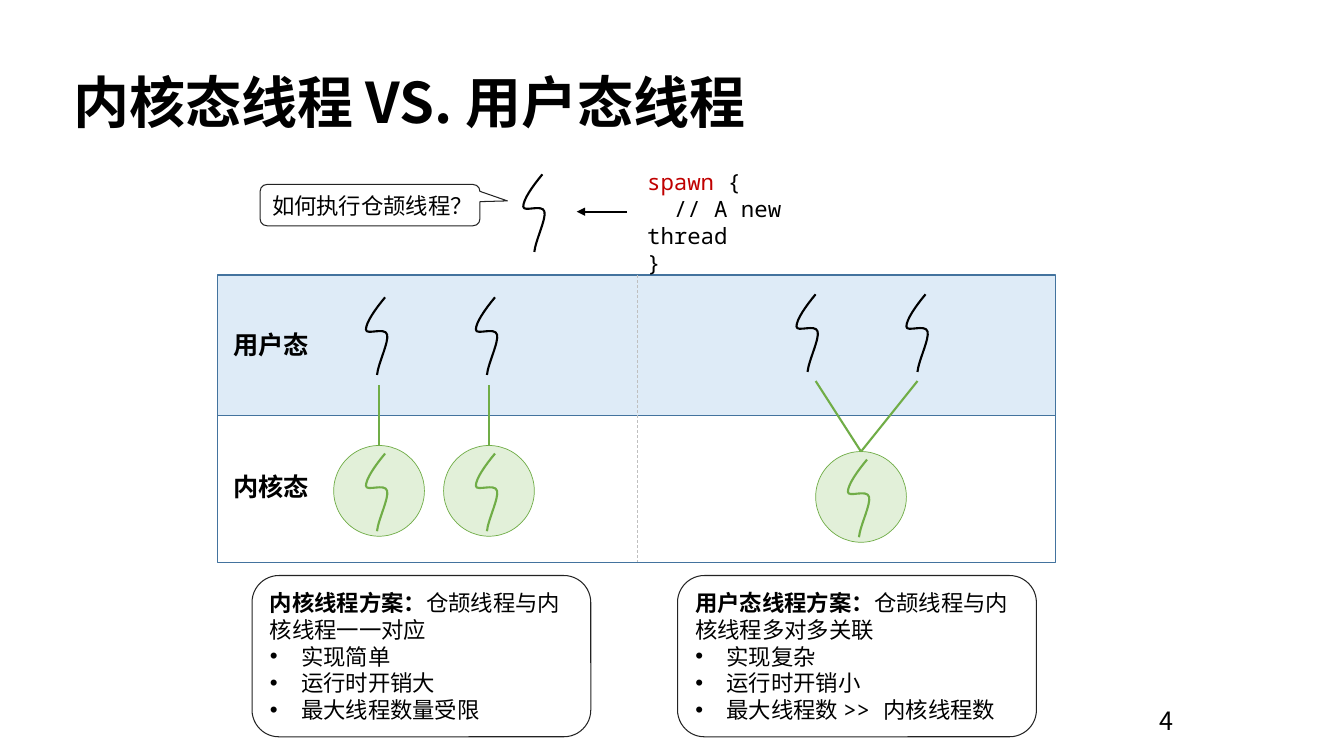
from lxml import etree
from pptx import Presentation
from pptx.dml.color import RGBColor
from pptx.enum import dml, shapes, text
from pptx.oxml import ns
from pptx.util import Inches, Pt

BLACK = RGBColor(0, 0, 0)
WHITE = RGBColor(255, 255, 255)
RED = RGBColor(0xC0, 0, 0)
BLUE = RGBColor(0x43, 0x73, 0x9E)
PALE_BLUE = RGBColor(0xDE, 0xEB, 0xF7)
GREEN = RGBColor(0x70, 0xAD, 0x47)
PALE_GREEN = RGBColor(0xE2, 0xF0, 0xD9)
CHARCOAL = RGBColor(0x23, 0x23, 0x23)
GRAY = RGBColor(0xBF, 0xBF, 0xBF)
SANS, MONO = "Noto Sans CJK SC", "Noto Sans Mono"

TITLE = "内核态线程 VS. 用户态线程"
QUESTION = "如何执行仓颉线程？"
CODE = [[("spawn", {"color": RED}), " {"], "  // A new thread", "}"]
BANDS = [
    ("内核态", 4.11, 1.47, WHITE, 4.63),
    ("用户态", 2.73, 1.39, PALE_BLUE, 3.22),
]
SCHEMES = [
    (2.5, 3.36, "内核线程方案：", "仓颉线程与内核线程一一对应",
     ["实现简单", "运行时开销大", "最大线程数量受限"]),
    (6.72, 3.56, "用户态线程方案：", "仓颉线程与内核线程多对多关联",
     ["实现复杂", "运行时开销小", "最大线程数 >> 内核线程数"]),
]
KERNEL_THREADS = [(3.31, 4.42), (4.4, 4.42), (8.09, 4.48)]
USER_THREADS = [(3.63, 2.95), (4.72, 2.95), (7.9, 2.92), (8.99, 2.92)]
LINKS = [(3.76, 3.82, 0), (4.85, 3.82, 1), (8.09, 3.78, 2), (9.1, 3.78, 2)]
NEW_THREAD = (5.19, 1.73)
SQUIGGLE = [(0.19, 0), (0.09, 0.12), (0, 0.25), (0, 0.32),
            (0, 0.38), (0.19, 0.29), (0.21, 0.37),
            (0.23, 0.44), (0.12, 0.66), (0.11, 0.77)]
CIRCLE = 0.9

deck = Presentation()
deck.slide_width, deck.slide_height = Inches(13.33), Inches(7.5)
page = deck.slides.add_slide(deck.slide_layouts[6])


def write(box, paragraphs, size=16, font=MONO, color=BLACK, bold=False,
          align=text.PP_ALIGN.LEFT, anchor=text.MSO_ANCHOR.MIDDLE, wrap=True, bullets_from=None):
    frame = box.text_frame
    frame.word_wrap = wrap
    frame.vertical_anchor = anchor
    for index, spans in enumerate(paragraphs):
        para = frame.paragraphs[0] if index == 0 else frame.add_paragraph()
        para.alignment = align
        if bullets_from is not None and index >= bullets_from:
            props = para._p.get_or_add_pPr()
            props.set("marL", str(Inches(0.31)))
            props.set("indent", str(-Inches(0.31)))
            etree.SubElement(props, ns.qn("a:buFont")).set("typeface", "Arial")
            etree.SubElement(props, ns.qn("a:buChar")).set("char", "•")
        for item in [spans] if isinstance(spans, str) else spans:
            words, style = (item, {}) if isinstance(item, str) else item
            span = para.add_run()
            span.text = words
            span.font.size = Pt(size)
            span.font.name = font
            span.font.bold = style.get("bold", bold)
            span.font.color.rgb = style.get("color", color)
            east = etree.SubElement(span._r.get_or_add_rPr(), ns.qn("a:ea"))
            east.set("typeface", SANS)


def add_text(left, top, width, height, paragraphs, **style):
    box = page.shapes.add_textbox(Inches(left), Inches(top), Inches(width), Inches(height))
    write(box, paragraphs, **style)


def add_box(kind, left, top, width, height, fill, line, weight):
    box = page.shapes.add_shape(kind, Inches(left), Inches(top), Inches(width), Inches(height))
    box.shadow.inherit = False
    box.fill.solid()
    box.fill.fore_color.rgb = fill
    box.line.color.rgb = line
    box.line.width = Pt(weight)
    return box


def add_line(x1, y1, x2, y2, color, weight=1.5):
    line = page.shapes.add_connector(
        shapes.MSO_CONNECTOR.STRAIGHT, Inches(x1), Inches(y1), Inches(x2), Inches(y2))
    line.line.color.rgb = color
    line.line.width = Pt(weight)
    etree.SubElement(line._element.spPr, ns.qn("a:effectLst"))
    return line


def add_squiggle(left, top, color):
    points = [(Inches(left + x), Inches(top + y)) for x, y in SQUIGGLE]
    builder = page.shapes.build_freeform(*points[0])
    builder.add_line_segments(points[1:], close=False)
    thread = builder.convert_to_shape()
    thread.shadow.inherit = False
    thread.fill.background()
    thread.line.color.rgb = color
    thread.line.width = Pt(1.5)
    segments = list(thread._element.iter(ns.qn("a:lnTo")))
    outline = segments[0].getparent()
    for start in range(0, len(segments), 3):
        curve = etree.SubElement(outline, ns.qn("a:cubicBezTo"))
        for segment in segments[start:start + 3]:
            curve.append(segment[0])
            outline.remove(segment)


for label, top, height, fill, label_top in BANDS:
    add_box(shapes.MSO_SHAPE.RECTANGLE, 2.16, top, 8.31, height, fill, BLUE, 1)
    add_text(2.21, label_top, 0.96, 0.4, [label], size=18, font=SANS, bold=True,
             align=text.PP_ALIGN.CENTER, wrap=False)

add_text(0.63, 0.62, 7.31, 0.77, [TITLE], size=40, font=SANS, bold=True)
add_text(6.32, 1.62, 2.35, 0.91, CODE, anchor=text.MSO_ANCHOR.TOP)

circles = []
for left, top in KERNEL_THREADS:
    circles.append(add_box(shapes.MSO_SHAPE.OVAL, left, top, CIRCLE, CIRCLE,
                           PALE_GREEN, GREEN, 0.5))
    add_squiggle(left + 0.32, top + 0.08, GREEN)
for left, top in [NEW_THREAD] + USER_THREADS:
    add_squiggle(left, top, BLACK)

for x, y, target in LINKS:
    left, top = KERNEL_THREADS[target]
    link = add_line(x, y, left + CIRCLE / 2, top, GREEN)
    link.end_connect(circles[target], 0)

arrow = add_line(6.22, 2.1, 5.72, 2.1, BLACK)
etree.SubElement(arrow.line._get_or_add_ln(), ns.qn("a:tailEnd")).set("type", "triangle")

callout = add_box(shapes.MSO_SHAPE.ROUNDED_RECTANGULAR_CALLOUT, 2.58, 1.83, 2.18, 0.41,
                  WHITE, CHARCOAL, 0.75)
for index, value in enumerate((0.625, -0.102, 0.167)):
    callout.adjustments[index] = value
write(callout, [QUESTION])

for left, width, heading, summary, points in SCHEMES:
    card = add_box(shapes.MSO_SHAPE.ROUNDED_RECTANGLE, left, 5.71, width, 1.6,
                   WHITE, CHARCOAL, 0.75)
    write(card, [[(heading, {"bold": True}), summary]] + points, bullets_from=1)

divider = add_line(6.32, 2.73, 6.32, 5.58, GRAY, 0.5)
divider.line.dash_style = dml.MSO_LINE.DASH
add_text(9.42, 6.95, 2.32, 0.4, ["4"], size=18, font=SANS, align=text.PP_ALIGN.RIGHT)

deck.save("out.pptx")
